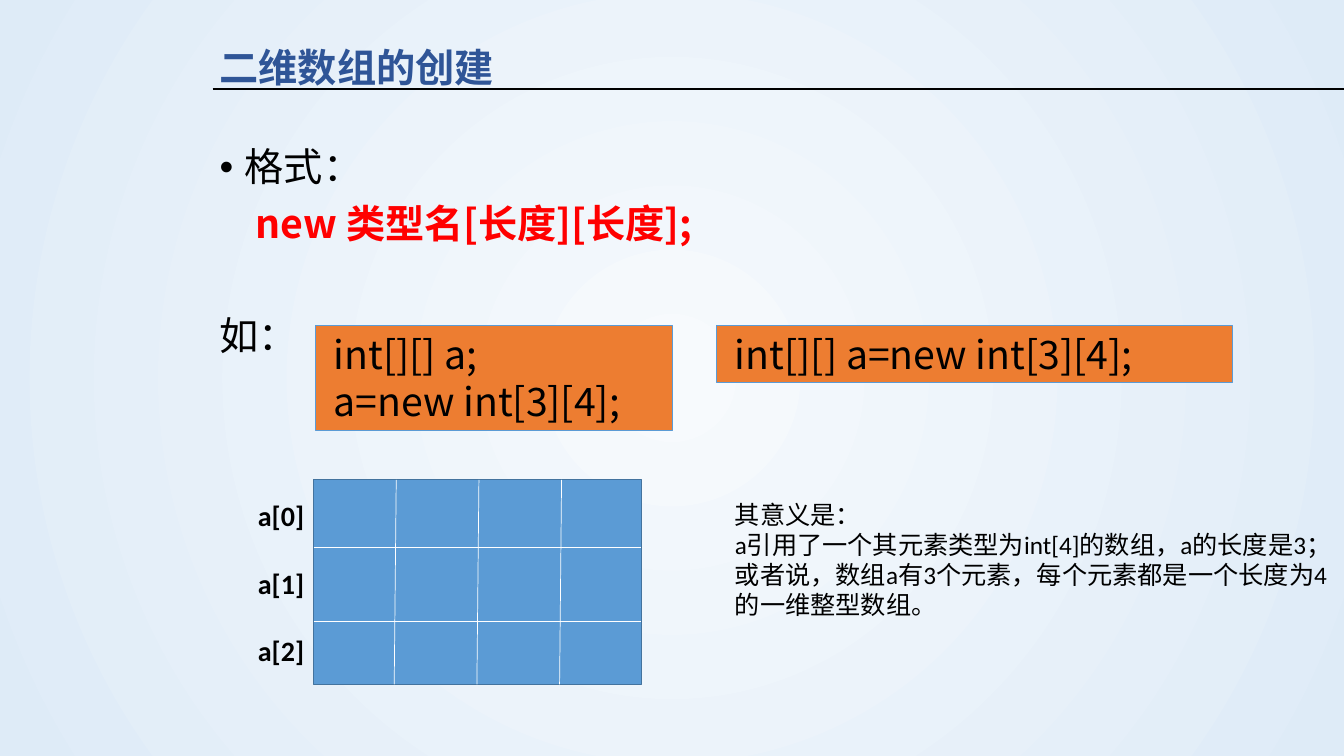
from dataclasses import dataclass
from pptx import Presentation
from pptx.dml.color import RGBColor
from pptx.enum.shapes import MSO_CONNECTOR, MSO_SHAPE
from pptx.enum.text import MSO_ANCHOR, PP_ALIGN
from pptx.oxml.ns import qn
from pptx.util import Inches, Pt
from lxml.etree import SubElement

SANS = "Noto Sans CJK SC"


@dataclass
class Box:
    """Place and size in inches."""
    left: float
    top: float
    width: float
    height: float

    def span(self) -> list:
        """Return the four lengths."""
        return [Inches(n) for n in (self.left, self.top, self.width, self.height)]


@dataclass
class Code:
    """A code panel and its lines."""
    box: Box
    lines: list[str]


def paint(code: str) -> RGBColor:
    """Turn a hex string into a colour."""
    return RGBColor.from_string(code)


def write(frame, text: str, size: float = 28, font: str = "Calibri",
          color: str = "000000", bold: bool = False, before: float = 0,
          line: float = 1, left: float = 0, hang: float = 0,
          bullet: str = "") -> None:
    """Add one formatted paragraph to a frame."""
    para = frame.paragraphs[0]
    if para.runs:
        para = frame.add_paragraph()
    para.alignment = PP_ALIGN.LEFT
    para.space_before, para.line_spacing = Pt(before), line
    props = para._p.get_or_add_pPr()
    props.set("marL", str(Inches(left)))
    props.set("indent", str(Inches(-hang)))
    if bullet:
        SubElement(props, qn("a:buFont"), typeface="Arial")
        SubElement(props, qn("a:buChar"), char=bullet)
    run = para.add_run()
    run.text = text
    face = run.font
    face.name, face.size, face.bold = font, Pt(size), bold
    face.color.rgb = paint(color)


def label(slide, box: Box, anchor=MSO_ANCHOR.TOP):
    """Add a wrapping text box and return its frame."""
    frame = slide.shapes.add_textbox(*box.span()).text_frame
    frame.word_wrap, frame.vertical_anchor = True, anchor
    return frame


def panel(slide, box: Box, fill: str, edge: str, width: float):
    """Add a filled rectangle and return its frame."""
    shape = slide.shapes.add_shape(MSO_SHAPE.RECTANGLE, *box.span())
    shape.shadow.inherit = False
    shape.fill.solid()
    shape.fill.fore_color.rgb = paint(fill)
    shape.line.color.rgb, shape.line.width = paint(edge), Pt(width)
    frame = shape.text_frame
    frame.word_wrap, frame.vertical_anchor = True, MSO_ANCHOR.TOP
    frame.margin_left = Inches(0.18)
    return frame


def rule(slide, x1: float, y1: float, x2: float, y2: float,
         color: str = "FFFFFF", width: float = 0.5) -> None:
    """Draw a straight line."""
    ends = [Inches(n) for n in (x1, y1, x2, y2)]
    wire = slide.shapes.add_connector(MSO_CONNECTOR.STRAIGHT, *ends)
    wire.line.color.rgb, wire.line.width = paint(color), Pt(width)
    SubElement(wire._element.spPr, qn("a:effectLst"))


def glow(slide) -> None:
    """Fill the background with a round gradient."""
    fill = slide.background.fill
    fill.gradient()
    for stop, code, place in zip(fill.gradient_stops, ("F7FAFD", "DEEBF7"), (0, 1)):
        stop.color.rgb, stop.position = paint(code), place
    grad = next(slide.element.iter(qn("a:gradFill")))
    grad.remove(grad.find(qn("a:lin")))
    ring = SubElement(grad, qn("a:path"))
    ring.set("path", "circle")
    SubElement(ring, qn("a:fillToRect"), l="50000", t="50000", r="50000", b="50000")


def grid(slide, box: Box, rows: list[float], cols: int, slant: float) -> None:
    """Draw the array with its cell lines."""
    panel(slide, box, "5B9BD5", "43739E", 1)
    for y in rows:
        rule(slide, box.left, y, box.left + box.width, y)
    for col in range(1, cols):
        x = box.left + 0.82 * col
        rule(slide, x, box.top, x - slant, box.top + box.height)


def main() -> None:
    """Build and save the slide."""
    deck = Presentation()
    deck.slide_width, deck.slide_height = Inches(13.33), Inches(7.5)
    slide = deck.slides.add_slide(deck.slide_layouts[6])
    glow(slide)
    rule(slide, 2.11, 0.88, 13.33, 0.88, "000000", 1.25)
    title = label(slide, Box(2.08, -0.03, 11.5, 1.45), MSO_ANCHOR.MIDDLE)
    write(title, "二维数组的创建", font=SANS, color="2F5597", bold=True, line=0.9)

    body = label(slide, Box(2.08, 1.42, 9, 5.83))
    write(body, "格式：", before=10, line=0.9, left=0.25, hang=0.25, bullet="•")
    write(body, "new 类型名[长度][长度];", font=SANS, color="FF0000",
          bold=True, before=10, line=0.9, left=0.36)
    write(body, "如：", before=50, line=0.9)

    for code in (Code(Box(3.13, 3.23, 3.54, 1.04), ["int[][] a;", "a=new int[3][4];"]),
                 Code(Box(7.11, 3.23, 5.11, 0.57), ["int[][] a=new int[3][4];"])):
        frame = panel(slide, code.box, "ED7D31", "5B9BD5", 0.75)
        for text in code.lines:
            write(frame, text, font=SANS)

    grid(slide, Box(3.11, 4.76, 3.25, 2.03), [5.43, 6.16], 4, 0.02)
    names = label(slide, Box(2.46, 4.9, 0.76, 1.78))
    for row in range(3):
        write(names, f"a[{row}]", size=20, bold=True, before=24 if row else 0)
    notes = label(slide, Box(6.69, 4.9, 6.67, 1.31))
    for text in ("其意义是：",
                 "a引用了一个其元素类型为int[4]的数组，a的长度是3；",
                 "或者说，数组a有3个元素，每个元素都是一个长度为4的一维整型数组。"):
        write(notes, text, size=18, left=0.5)
    deck.save("out.pptx")


main()
